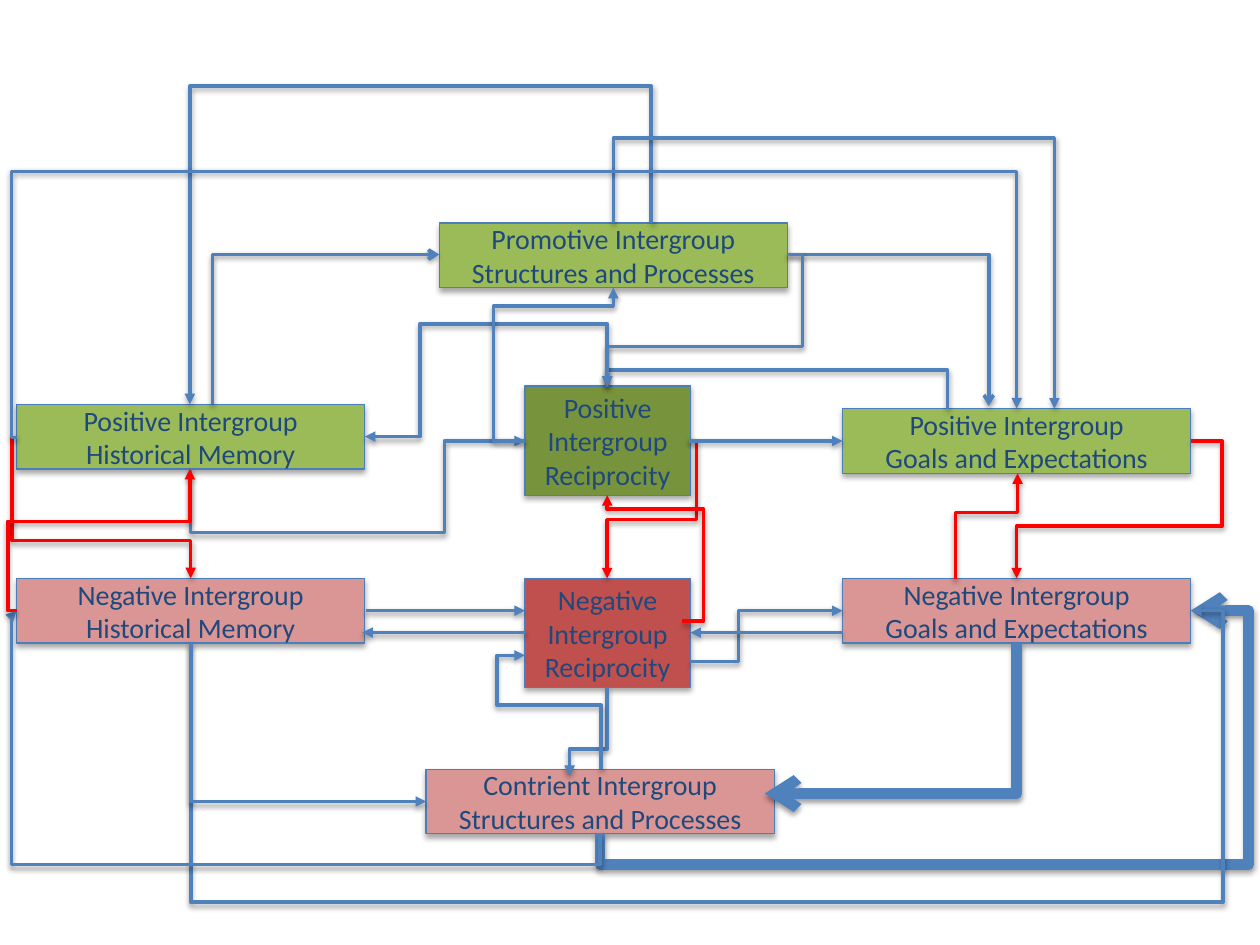
from lxml.etree import SubElement
from pptx import Presentation
from pptx.dml.color import RGBColor
from pptx.enum.shapes import MSO_CONNECTOR, MSO_SHAPE
from pptx.enum.text import MSO_ANCHOR, PP_ALIGN
from pptx.oxml.ns import qn
from pptx.util import Pt

BLUE = RGBColor(0x4F, 0x81, 0xBD)
RED = RGBColor(0xFF, 0x00, 0x00)
EDGE = RGBColor(0x4B, 0x7E, 0xBC)
NAVY = RGBColor(0x1F, 0x49, 0x7D)
GREEN = RGBColor(0x9B, 0xBB, 0x59)
OLIVE = RGBColor(0x77, 0x93, 0x3C)
PINK = RGBColor(0xD9, 0x96, 0x94)
BRICK = RGBColor(0xC0, 0x50, 0x4D)

# Boxes: paragraphs, left, top, fill; the size depends on the kind of box
WIDE, TALL = (199, 37), (94.5, 62.5)
BOXES = [
    (["Positive Intergroup Reciprocity"], 300, 220.5, TALL, OLIVE),
    (["Negative Intergroup Reciprocity"], 300, 330.5, TALL, BRICK),
    (["Promotive Intergroup Structures and Processes"], 251, 127.5, WIDE, GREEN),
    (["Contrient Intergroup Structures and Processes"], 243.5, 439.5, WIDE, PINK),
    (["Positive Intergroup", "Goals and Expectations"], 481.5, 233.5, WIDE, GREEN),
    (["Negative Intergroup", "Goals and Expectations"], 481.5, 330.5, WIDE, PINK),
    (["Positive Intergroup Historical Memory"], 9.5, 231, WIDE, GREEN),
    (["Negative Intergroup Historical Memory"], 9.5, 330.5, WIDE, PINK),
]

# Elbow arrows: start, first direction, where it turns, end, colour, width, head
ELBOWS = [
    ((450, 145.5), "h", [], (565, 232), BLUE, 2, "arrow"),
    ((343, 476), "v", [494, 713.5], (680.5, 349), BLUE, 6, "arrow"),
    ((581, 367.5), "v", [], (437, 453.5), BLUE, 6, "arrow"),
    ((121.5, 231), "v", [], (251, 145.5), BLUE, 2, "arrow"),
    ((109, 367.5), "v", [515.5, 698.5], (680.5, 349), BLUE, 2, "triangle"),
    ((343, 476), "v", [494, 6.5], (9.5, 349), BLUE, 2, "triangle"),
    ((109, 367.5), "v", [], (243.5, 458), BLUE, 2, "triangle"),
    ((541.5, 233.5), "v", [211.5], (347, 221), BLUE, 2, "triangle"),
    ((347, 221), "v", [185, 240], (208.5, 249.5), BLUE, 2, "triangle"),
    ((109, 268), "v", [304.5, 254], (300, 252), BLUE, 2, "triangle"),
    ((394.5, 378), "h", [422], (481.5, 349), BLUE, 2, "triangle"),
    ((347, 393), "v", [428], (325.5, 443.5), BLUE, 2, "triangle"),
    ((343.5, 439.5), "v", [403, 284], (300, 374.5), BLUE, 2, "triangle"),
    ((394, 252), "h", [398, 297], (347, 330.5), RED, 2, "triangle"),
    ((390, 355), "h", [402, 291], (347, 283), RED, 2, "triangle"),
    ((680.5, 252), "h", [698.5, 300.5], (581, 330.5), RED, 2, "triangle"),
    ((546, 331), "v", [293], (581.5, 270.5), RED, 2, "triangle"),
    ((9.5, 250), "h", [7, 309], (109, 330.5), RED, 2, "triangle"),
    ((9.5, 349), "h", [4.5, 298], (108.5, 268), RED, 2, "triangle"),
    ((372, 127.5), "v", [49], (108.5, 231), BLUE, 2, "triangle"),
    ((350.5, 127.5), "v", [79], (602.5, 233.5), BLUE, 2, "triangle"),
    ((450, 145.5), "h", [458.5, 198], (347, 221), BLUE, 2, "triangle"),
    ((300, 252), "h", [282, 175], (350.5, 164.5), BLUE, 2, "triangle"),
    ((9.5, 250), "h", [6.5, 98], (581, 233.5), BLUE, 2, "triangle"),
]

# Straight level arrows: from x, to x, y
STRAIGHTS = [
    (300, 207, 361.5),
    (209, 300, 349),
    (394, 481.5, 252),
    (481.5, 394.5, 361.5),
]


def add_shadow(effects, dist, alpha):
    shadow = SubElement(effects, qn("a:outerShdw"), blurRad="40000", dist=str(dist),
                        dir="5400000", rotWithShape="0")
    black = SubElement(shadow, qn("a:srgbClr"), val="000000")
    SubElement(black, qn("a:alpha"), val=str(alpha * 1000))


def add_box(s, paragraphs, left, top, size, fill):
    sp = s.shapes.add_shape(MSO_SHAPE.RECTANGLE, Pt(left), Pt(top), *map(Pt, size))
    sp.fill.solid()
    sp.fill.fore_color.rgb = fill
    sp.line.color.rgb = EDGE
    sp.line.width = Pt(0.75)
    sp.shadow.inherit = False
    add_shadow(sp.element.spPr.find(qn("a:effectLst")), 23000, 35)
    tf = sp.text_frame
    tf.word_wrap = True
    tf.vertical_anchor = MSO_ANCHOR.MIDDLE
    for i, text in enumerate(paragraphs):
        p = tf.add_paragraph() if i else tf.paragraphs[0]
        p.alignment = PP_ALIGN.CENTER
        r = p.add_run()
        r.text = text
        r.font.name = "Calibri"
        r.font.size = Pt(16)
        r.font.color.rgb = NAVY


def add_arrow(s, kind, start, end, color, width, head):
    c = s.shapes.add_connector(kind, *map(Pt, start + end))
    c.line.color.rgb = color
    c.line.width = Pt(width)
    spPr = c.element.spPr
    SubElement(spPr.find(qn("a:ln")), qn("a:tailEnd"), type=head)
    add_shadow(SubElement(spPr, qn("a:effectLst")), 20000, 38)
    return c


def add_elbow(s, start, first, turns, end, color, width, head):
    c = add_arrow(s, MSO_CONNECTOR.ELBOW, start, end, color, width, head)
    delta = [b - a for a, b in zip(start, end)]
    dx, dy = delta
    axis = "hv".index(first)

    # Turn and flip the frame so that its own x axis runs along the first leg
    if first == "h":
        turn, flip_h, flip_v = 0, dx < 0, dy < 0
    else:
        turn = 270 if dx > 0 and dy > 0 else 90
        flip_h = dy < 0 or turn == 270
        flip_v = dx > 0 and dy < 0
    w, h = abs(delta[axis]), abs(delta[1 - axis])
    c.left = Pt((start[0] + end[0] - w) / 2)
    c.top = Pt((start[1] + end[1] - h) / 2)
    c.width, c.height = Pt(w), Pt(h)
    xfrm = c.element.spPr.find(qn("a:xfrm"))
    for name, value in (("rot", turn * 60000), ("flipH", int(flip_h)), ("flipV", int(flip_v))):
        xfrm.set(name, str(value))

    # Each turn is a share of the distance along alternating axes
    geom = c.element.spPr.find(qn("a:prstGeom"))
    geom.set("prst", f"bentConnector{len(turns) + 2}")
    guides = geom.find(qn("a:avLst"))
    for i, turn_at in enumerate(turns):
        k = (axis + i) % 2
        share = round((turn_at - start[k]) / delta[k] * 100000)
        SubElement(guides, qn("a:gd"), name=f"adj{i + 1}", fmla=f"val {share}")


prs = Presentation()
prs.slide_width, prs.slide_height = Pt(720), Pt(540)
s = prs.slides.add_slide(prs.slide_layouts[6])

for box in BOXES:
    add_box(s, *box)
for elbow in ELBOWS:
    add_elbow(s, *elbow)
for x0, x1, y in STRAIGHTS:
    add_arrow(s, MSO_CONNECTOR.STRAIGHT, (x0, y), (x1, y), BLUE, 2, "triangle")

prs.save("out.pptx")
